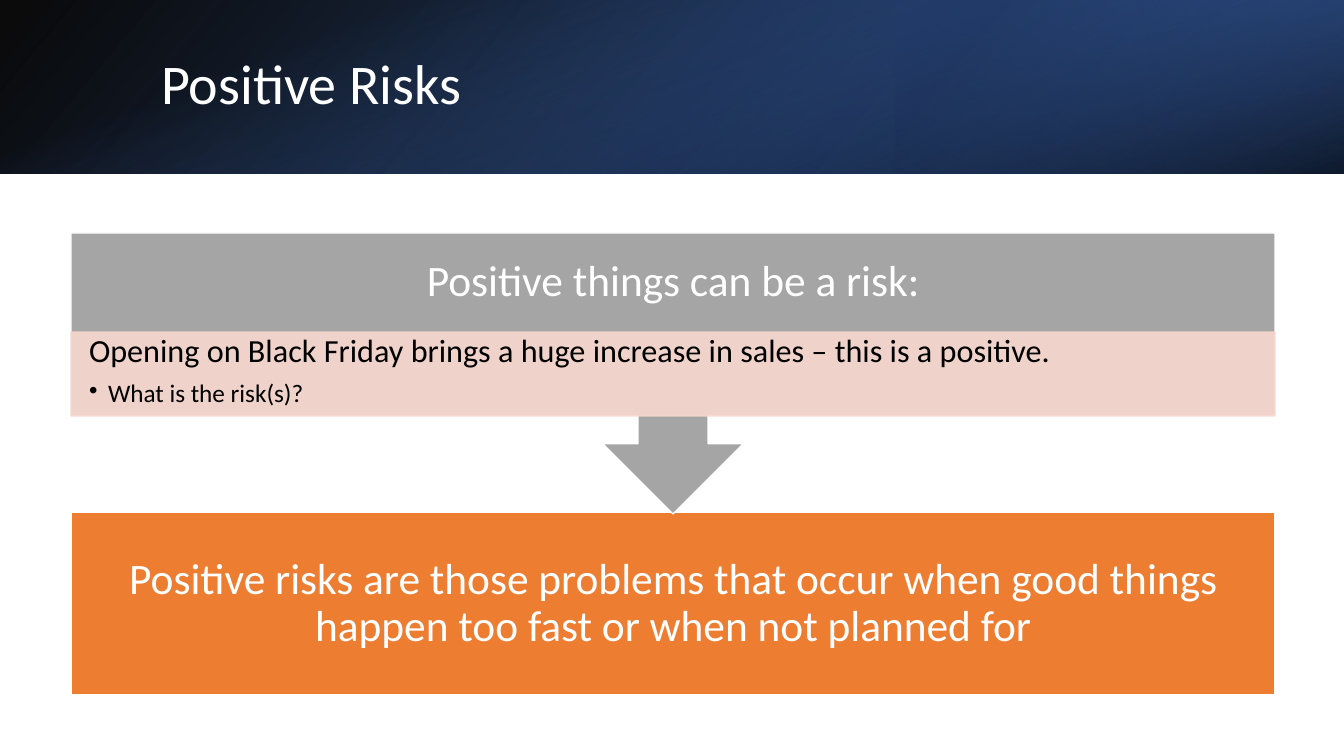
"""Build the Positive Risks slide."""
from dataclasses import dataclass

from lxml.etree import SubElement
from pptx import Presentation
from pptx.dml.color import RGBColor
from pptx.enum.shapes import MSO_SHAPE
from pptx.enum.text import MSO_ANCHOR, MSO_AUTO_SIZE, PP_ALIGN
from pptx.oxml import parse_xml
from pptx.oxml.ns import nsdecls, qn
from pptx.util import Emu, Pt

SCALE = 914400 / 100.8


@dataclass(frozen=True)
class Theme:
    font: str = "Calibri"
    white: str = "FFFFFF"
    black: str = "000000"
    gray: str = "A5A5A5"
    orange: str = "ED7D31"
    pink: str = "F8D7CE"
    blue: str = "4472C4"
    deep_blue: str = "2F5597"
    navy: str = "203864"
    title: int = 40
    statement: int = 31
    detail: int = 23
    bullet: int = 18


THEME = Theme()


def px(value):
    return Emu(round(value * SCALE))


def frame(*lengths):
    return [px(length) for length in lengths]


def set_alpha(block, percent):
    for color in block._element.spPr.iter(qn("a:srgbClr")):
        SubElement(color, qn("a:alpha"), val=str(percent * 1000))


def add_block(page, kind, place, color, line, rotation=0):
    block = page.shapes.add_shape(kind, *frame(*place))
    block.shadow.inherit = False
    block.rotation = rotation
    block.line.width = Pt(1)
    for fill, tint in ((block.fill, color), (block.line.fill, line)):
        fill.solid()
        fill.fore_color.rgb = RGBColor.from_string(tint)
    return block


def add_gradient(page, place, stops, angle, rotation=0, flip=False):
    band = page.shapes.add_shape(MSO_SHAPE.RECTANGLE, *frame(*place))
    band.shadow.inherit = False
    band.rotation = rotation
    band.line.fill.background()
    properties = band._element.spPr
    if flip:
        properties.find(qn("a:xfrm")).set("flipH", "1")
    marks = "".join(
        f'<a:gs pos="{position * 1000}"><a:srgbClr val="{color}">'
        f'<a:alpha val="{alpha * 1000}"/></a:srgbClr></a:gs>'
        for position, color, alpha in stops
    )
    gradient = parse_xml(
        f'<a:gradFill {nsdecls("a")}><a:gsLst>{marks}</a:gsLst>'
        f'<a:lin ang="{angle * 60000}" scaled="0"/></a:gradFill>'
    )
    properties.find(qn("a:prstGeom")).addnext(gradient)


def format_para(para, size, color, align=PP_ALIGN.LEFT, after=0):
    para.alignment = align
    para.line_spacing = 0.9
    para.space_before = Pt(0)
    para.space_after = Pt(after)
    for span in para.runs:
        span.font.name = THEME.font
        span.font.size = Pt(size)
        span.font.color.rgb = RGBColor.from_string(color)


def set_body(box, anchor, side, edge):
    body = box.text_frame
    body.word_wrap = True
    body.vertical_anchor = anchor
    body.margin_left = body.margin_right = px(side)
    body.margin_top = body.margin_bottom = px(edge)
    return body


def set_statement(box, text):
    body = set_body(box, MSO_ANCHOR.MIDDLE, 24, 24)
    body.text = text
    format_para(body.paragraphs[0], THEME.statement, THEME.white, PP_ALIGN.CENTER)


def add_bullet(para, indent):
    properties = para._p.get_or_add_pPr()
    properties.set("marL", str(px(indent)))
    properties.set("indent", str(-px(indent)))
    SubElement(properties, qn("a:buChar"), char="•")


def add_header(page):
    add_gradient(page, (0, 0, 1344, 174),
                 [(0, THEME.black, 96), (100, THEME.deep_blue, 100)], 140, flip=True)
    add_gradient(page, (896, 0, 448, 174),
                 [(19, THEME.navy, 68), (100, THEME.blue, 79)], 320, 180, True)
    add_gradient(page, (585, -585, 174, 1344),
                 [(23, THEME.blue, 0), (99, THEME.black, 74)], 340, 90)


def set_title(page, text):
    title = page.shapes.title
    title.left, title.top, title.width, title.height = frame(151, 38, 1107, 97)
    title.text_frame.text = text
    title.text_frame.auto_size = MSO_AUTO_SIZE.NONE
    title.text_frame.vertical_anchor = MSO_ANCHOR.MIDDLE
    format_para(title.text_frame.paragraphs[0], THEME.title, THEME.white)
    tree = page.shapes._spTree
    tree.remove(title._element)
    tree.append(title._element)


def add_details(page, place, lead, question):
    panel = add_block(page, MSO_SHAPE.RECTANGLE, place, THEME.pink, THEME.pink)
    set_alpha(panel, 90)
    body = set_body(panel, MSO_ANCHOR.TOP, 18, 3)
    body.text = f"{lead}\n{question}"
    first, second = body.paragraphs
    format_para(first, THEME.detail, THEME.black, after=8)
    format_para(second, THEME.bullet, THEME.black)
    second.level = 1
    add_bullet(second, 19)


def main():
    deck = Presentation()
    deck.slide_width, deck.slide_height = frame(1344, 756)
    page = deck.slides.add_slide(deck.slide_layouts[5])
    add_header(page)
    set_title(page, "Positive Risks")
    left, width = 71, 1204
    conclusion = add_block(page, MSO_SHAPE.RECTANGLE, (left, 512, width, 183),
                           THEME.orange, THEME.white)
    set_statement(conclusion, "Positive risks are those problems that occur when "
                  "good things happen too fast or when not planned for")
    add_block(page, MSO_SHAPE.UP_ARROW_CALLOUT, (left, 233, width, 281),
              THEME.gray, THEME.white, rotation=180)
    heading = page.shapes.add_textbox(*frame(left, 233, width, 99))
    set_statement(heading, "Positive things can be a risk:")
    add_details(page, (left, 332, width, 84),
                "Opening on Black Friday brings a huge increase in sales – this is a positive.",
                "What is the risk(s)?")
    deck.save("out.pptx")


main()
